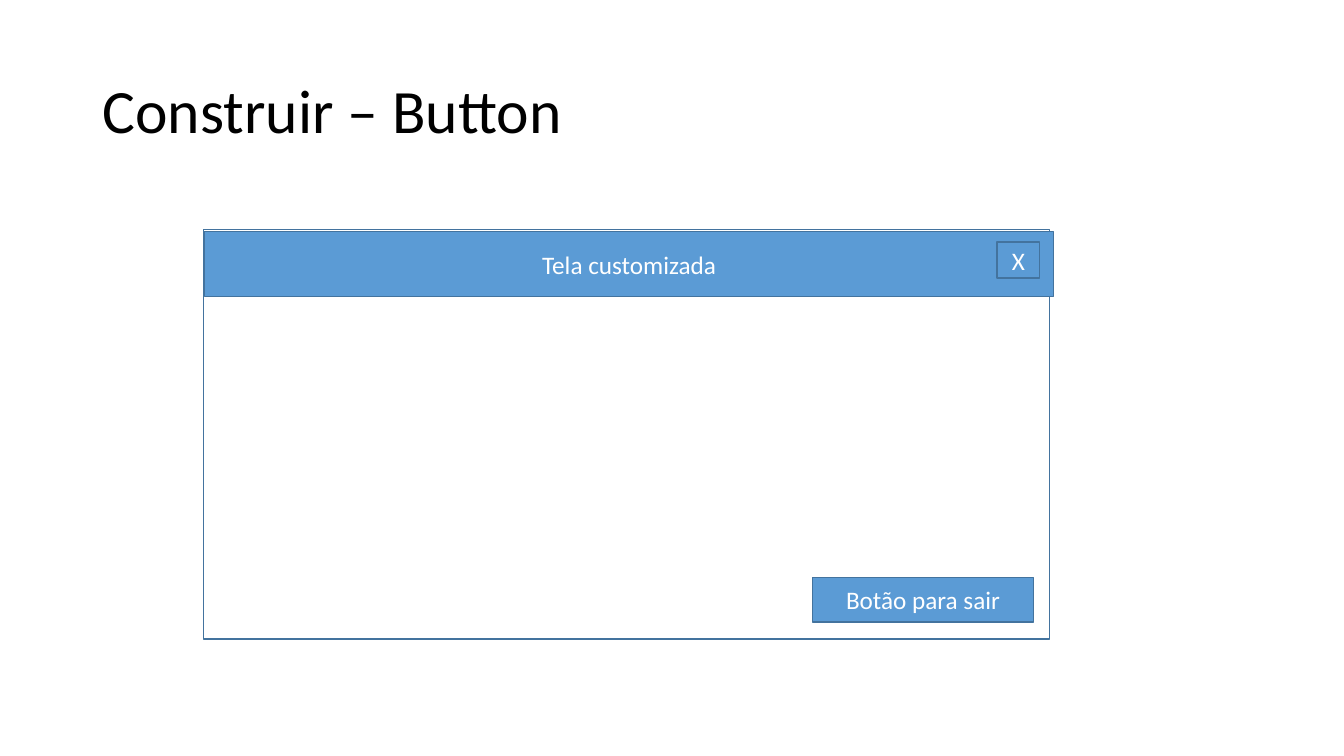
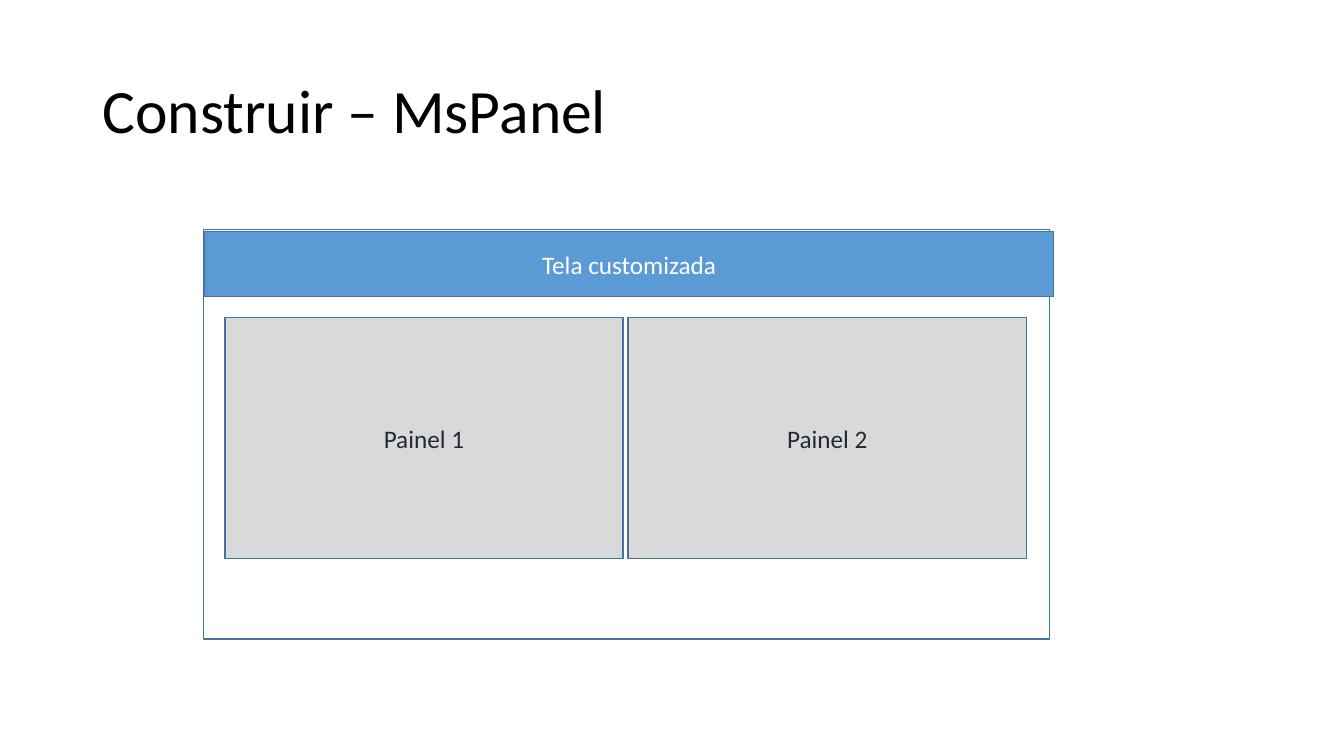
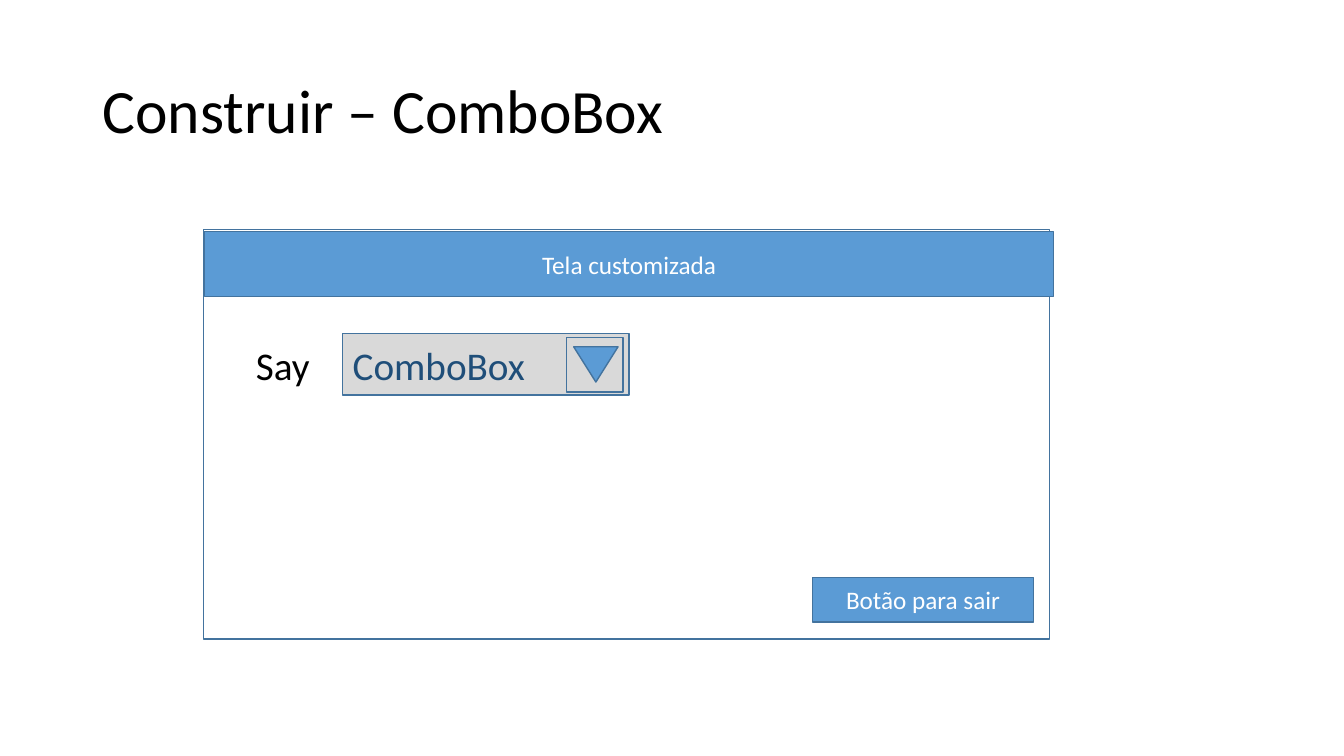
from dataclasses import dataclass
from typing import Optional

from pptx import Presentation
from pptx import util as u
from pptx.dml.color import RGBColor
from pptx.enum import shapes, text

EMU_PER_PX = 9144  # 100 px to the inch
FONT = "Calibri"
BLACK, WHITE, NAVY, INK = "000000", "FFFFFF", "1F4E79", "222A35"
BLUE, GREY, OUTLINE = "5B9BD5", "D9D9D9", "43739E"
CENTER, LEFT = text.PP_ALIGN.CENTER, text.PP_ALIGN.LEFT
RECTANGLE = shapes.MSO_SHAPE.RECTANGLE
TRIANGLE = shapes.MSO_SHAPE.ISOSCELES_TRIANGLE


@dataclass(frozen=True)
class Box:
    left: int
    top: int
    width: int
    height: int

    def emu(self) -> list[u.Emu]:
        return [px(n) for n in (self.left, self.top, self.width, self.height)]


@dataclass(frozen=True)
class Label:
    words: str
    size: int = 18
    color: str = WHITE
    align: text.PP_ALIGN = CENTER


@dataclass(frozen=True)
class Widget:
    """One outlined part of the mock window."""
    box: Box
    fill: str = BLUE
    label: Optional[Label] = None
    outline: shapes.MSO_SHAPE = RECTANGLE
    rotation: int = 0


TITLE_BOX = Box(92, 40, 1150, 145)
WINDOW = Widget(Box(202, 228, 839, 406), WHITE)
TITLE_BAR = Widget(Box(203, 230, 842, 64), label=Label("Tela customizada"))
EXIT_BUTTON = Widget(Box(806, 573, 219, 44), label=Label("Botão para sair"))
CLOSE_BUTTON = Widget(Box(989, 240, 42, 36), label=Label("X"))
PANEL_PITCH = 400
PANELS = [
    Widget(Box(223 + i * PANEL_PITCH, 315, 395, 239), GREY, Label(f"Painel {i + 1}", color=INK))
    for i in range(2)
]
SAY_BOX = Box(244, 334, 74, 57)
COMBO_FIELD = Widget(Box(340, 331, 284, 61), GREY, Label("ComboBox", 28, NAVY, LEFT))
DROP_BUTTON = [
    Widget(Box(562, 335, 56, 54), GREY),
    Widget(Box(569, 344, 44, 35), outline=TRIANGLE, rotation=180),
]


def px(length: int) -> u.Emu:
    return u.Emu(length * EMU_PER_PX)


def rgb(color: str) -> RGBColor:
    return RGBColor.from_string(color)


def write(frame, label: Label, wrap: bool = True):
    frame.word_wrap = wrap
    paragraph = frame.paragraphs[0]
    paragraph.text = label.words
    paragraph.alignment = label.align
    paragraph.font.name = FONT
    paragraph.font.size = u.Pt(label.size)
    paragraph.font.color.rgb = rgb(label.color)
    return paragraph


def draw(parent, widget: Widget) -> None:
    shape = parent.add_shape(widget.outline, *widget.box.emu())
    shape.shadow.inherit = False
    shape.rotation = widget.rotation
    shape.fill.solid()
    shape.fill.fore_color.rgb = rgb(widget.fill)
    shape.line.color.rgb = rgb(OUTLINE)
    shape.line.width = u.Pt(1)
    if widget.label:
        shape.text_frame.vertical_anchor = text.MSO_ANCHOR.MIDDLE
        write(shape.text_frame, widget.label)


def add_window_slide(deck, control: str, widgets: list[Widget]):
    """Add a titled slide with the mock window and the given widgets in it."""
    slide = deck.slides.add_slide(deck.slide_layouts[6])
    frame = slide.shapes.add_textbox(*TITLE_BOX.emu()).text_frame
    frame.vertical_anchor = text.MSO_ANCHOR.MIDDLE
    write(frame, Label(f"Construir – {control}", 44, BLACK, LEFT)).line_spacing = 0.9
    for widget in [WINDOW, TITLE_BAR, *widgets]:
        draw(slide.shapes, widget)
    return slide


def main() -> None:
    deck = Presentation()
    deck.slide_width, deck.slide_height = px(1333), px(750)

    add_window_slide(deck, "Button", [EXIT_BUTTON, CLOSE_BUTTON])
    add_window_slide(deck, "MsPanel", PANELS)

    combo = add_window_slide(deck, "ComboBox", [COMBO_FIELD, EXIT_BUTTON])
    say = combo.shapes.add_textbox(*SAY_BOX.emu()).text_frame
    write(say, Label("Say", 28, BLACK, LEFT), wrap=False)
    say.auto_size = text.MSO_AUTO_SIZE.SHAPE_TO_FIT_TEXT
    drop_button = combo.shapes.add_group_shape()
    for part in DROP_BUTTON:
        draw(drop_button.shapes, part)

    deck.save("out.pptx")


if __name__ == "__main__":
    main()
